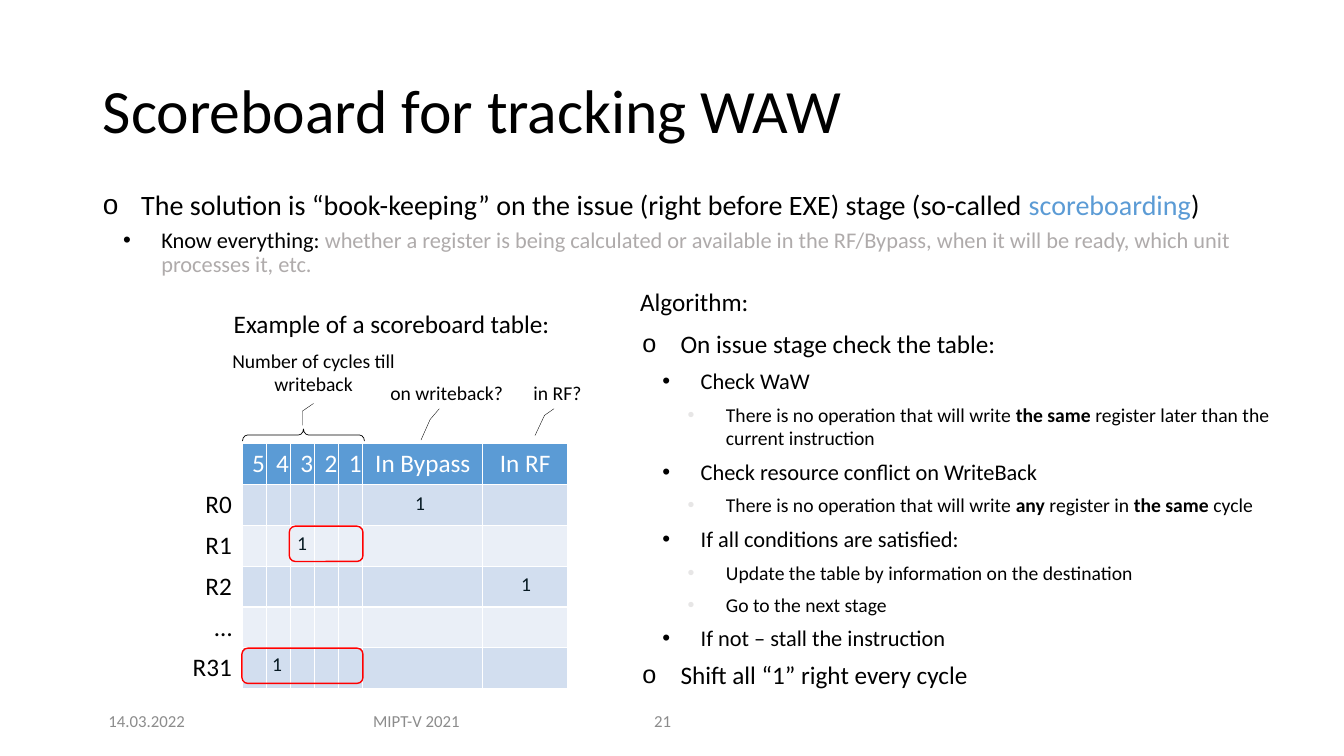
from lxml import etree
from pptx import Presentation
from pptx.dml.color import RGBColor
from pptx.enum.shapes import MSO_SHAPE
from pptx.enum.text import MSO_ANCHOR, MSO_AUTO_SIZE, PP_ALIGN
from pptx.oxml.ns import qn
from pptx.util import Inches, Pt

LEFT, CENTER, RIGHT = PP_ALIGN.LEFT, PP_ALIGN.CENTER, PP_ALIGN.RIGHT
TOP, MIDDLE = MSO_ANCHOR.TOP, MSO_ANCHOR.MIDDLE
NO_FIT = MSO_AUTO_SIZE.NONE
ROUND_RECT, BRACE = MSO_SHAPE.ROUNDED_RECTANGLE, MSO_SHAPE.RIGHT_BRACE
CALLOUT = MSO_SHAPE.LINE_CALLOUT_2_NO_BORDER

FONT = "Calibri"
BLACK, WHITE, RED, BLUE = "000000", "FFFFFF", "FF0000", "5B9BD5"
GREY, PALE_GREY, FOOTER_GREY, MARK_INK = "AFABAB", "E7E6E6", "8C8C8C", "061922"
BANDS = ("D2DEEF", "EAEFF7")

TITLE = "Scoreboard for tracking WAW"

# Each item: level, then runs of (text, format)
SOLUTION = [
    (0, [("The solution is “book-keeping” on the issue (right before EXE) stage (so-called ", {}),
         ("scoreboarding", {"color": BLUE}), (")", {})]),
    (1, [("Know everything: ", {}),
         ("whether a register is being calculated or available in the RF/Bypass, "
          "when it will be ready, which unit processes it, etc.", {"color": GREY})]),
]
BOLD = {"bold": True}
ALGORITHM = [
    (0, [("On issue stage check the table:", {})]),
    (1, [("Check WaW", {})]),
    (2, [("There is no operation that will write ", {}), ("the same ", BOLD),
         ("register later than the current instruction", {})]),
    (1, [("Check resource conflict on WriteBack", {})]),
    (2, [("There is no operation that will write ", {}), ("any", BOLD),
         (" register in ", {}), ("the same ", BOLD), ("cycle", {})]),
    (1, [("If all conditions are satisfied:", {})]),
    (2, [("Update the table by information on the destination", {})]),
    (2, [("Go to the next stage", {})]),
    (1, [("If not – stall the instruction", {})]),
    (0, [("Shift all “1” right every cycle", {})]),
]
# Per level: text indent, bullet, bullet colour
LEVELS = [(0.38, "o", BLACK), (0.58, "•", BLACK), (0.83, "•", PALE_GREY)]
HANGING = 0.38

HEADER = ["", "5", "4", "3", "2", "1", "In Bypass", "In RF"]
REGISTERS = ["R0", "R1", "R2", "…", "R31"]
COLUMN_WIDTHS = [0.76] + [0.24] * 5 + [1.19, 0.84]
ROW_HEIGHT = 0.4
TABLE_BOX = (1.64, 4.4, sum(COLUMN_WIDTHS), ROW_HEIGHT * (len(REGISTERS) + 1))

WAW_FRAMES = [(2.87, 5.22, 0.73, 0.35), (2.4, 6.43, 1.2, 0.35)]
MARKS = [(4.02, 4.87), (2.85, 5.26), (5.07, 5.67), (2.6, 6.46)]
CALLOUTS = [
    ("Number of cycles till writeback", (2.2, 3.35, 1.82, 0.68),
     (0.96, 0.5, 1.07, 0.44, 1.28, 0.44)),
    ("on writeback?", (3.52, 3.69, 1.82, 0.41), (0.89, 0.46, 1.15, 0.41, 1.65, 0.36)),
    ("in RF?", (5.1, 3.69, 0.86, 0.41), (0.89, 0.46, 1.05, 0.35, 1.54, 0.24)),
]
HEADINGS = [
    ("Example of a scoreboard table:", (2.22, 3.01, 3.43, 0.4)),
    ("Algorithm:", (6.25, 2.79, 1.5, 0.4)),
]
FOOTERS = [
    ("14.03.2022", (0.92, 6.95, 1.07, 0.4), CENTER),
    ("MIPT-V 2021", (3.34, 6.95, 1.58, 0.4), CENTER),
    ("21", (6.39, 6.95, 0.79, 0.4), LEFT),
]


def rgb(color):
    return RGBColor.from_string(color)


def inches(box):
    return [Inches(length) for length in box]


def place(shape, box):
    for side, length in zip(("left", "top", "width", "height"), inches(box)):
        setattr(shape, side, length)


def add_run(paragraph, text, size, color=BLACK, bold=False):
    run = paragraph.add_run()
    run.text = text
    for key, value in {"name": FONT, "size": Pt(size), "bold": bold}.items():
        setattr(run.font, key, value)
    run.font.color.rgb = rgb(color)


def write(frame, text, size, color=BLACK, align=LEFT, anchor=TOP, spacing=1.0):
    """Put one line of text into a frame, with its format."""
    for key, value in {"word_wrap": True, "auto_size": NO_FIT, "vertical_anchor": anchor}.items():
        setattr(frame, key, value)
    paragraph = frame.paragraphs[0]
    for key, value in {"alignment": align, "line_spacing": spacing, "space_before": Pt(0)}.items():
        setattr(paragraph, key, value)
    add_run(paragraph, text, size, color)


def add_label(slide, text, box, size, **look):
    write(slide.shapes.add_textbox(*inches(box)).text_frame, text, size, **look)


def add_bullet(paragraph, level):
    indent, bullet, color = LEVELS[level]
    properties = paragraph._p.get_or_add_pPr()
    properties.set("marL", str(Inches(indent)))
    properties.set("indent", str(-Inches(HANGING)))
    bullet_color = etree.SubElement(properties, qn("a:buClr"))
    etree.SubElement(bullet_color, qn("a:srgbClr")).set("val", color)
    etree.SubElement(properties, qn("a:buChar")).set("char", bullet)


def fill_list(placeholder, items, box, sizes, gaps, spacing):
    """Fill a body placeholder; sizes and gaps are given per level."""
    place(placeholder, box)
    frame = placeholder.text_frame
    frame.auto_size = NO_FIT
    for index, (level, runs) in enumerate(items):
        paragraph = frame.add_paragraph() if index else frame.paragraphs[0]
        layout = {"level": level, "line_spacing": spacing, "space_before": Pt(gaps[level])}
        for key, value in layout.items():
            setattr(paragraph, key, value)
        add_bullet(paragraph, level)
        for text, look in runs:
            add_run(paragraph, text, sizes[level], **look)


def add_outline(slide, preset, box, color, width):
    shape = slide.shapes.add_shape(preset, *inches(box))
    shape.shadow.inherit = False
    shape.fill.background()
    shape.line.color.rgb = rgb(color)
    shape.line.width = Pt(width)
    return shape


def add_scoreboard(slide):
    rows = [HEADER] + [[name] + [""] * (len(HEADER) - 1) for name in REGISTERS]
    table = slide.shapes.add_table(len(rows), len(HEADER), *inches(TABLE_BOX)).table
    for column, width in zip(table.columns, COLUMN_WIDTHS):
        column.width = Inches(width)
    for r, row in enumerate(rows):
        table.rows[r].height = Inches(ROW_HEIGHT)
        for c, text in enumerate(row):
            cell = table.cell(r, c)
            if c == 0:
                cell.fill.background()
            else:
                cell.fill.solid()
                cell.fill.fore_color.rgb = rgb(BANDS[(r - 1) % 2] if r else BLUE)
            if text:
                paragraph = cell.text_frame.paragraphs[0]
                paragraph.alignment = RIGHT if c == 0 else CENTER
                add_run(paragraph, text, 18, BLACK if r else WHITE)


def main():
    deck = Presentation()
    deck.slide_width, deck.slide_height = inches((13.33, 7.5))
    slide = deck.slides.add_slide(deck.slide_layouts.get_by_name("Two Content"))
    title, solution, algorithm = slide.placeholders

    place(title, (0.92, 0.4, 11.5, 1.45))
    write(title.text_frame, TITLE, 44, anchor=MIDDLE, spacing=0.9)
    fill_list(solution, SOLUTION, (0.92, 1.85, 11.5, 0.95), (20, 16), (10, 5), 0.9)
    fill_list(algorithm, ALGORITHM, (6.37, 3.26, 6.36, 4.2), (18, 16, 14), (6, 6, 6), 1.0)
    for side in ("left", "top", "right", "bottom"):
        setattr(algorithm.text_frame, f"margin_{side}", 0)

    add_scoreboard(slide)
    for box in WAW_FRAMES:
        add_outline(slide, ROUND_RECT, box, RED, 1)
    for left, top in MARKS:
        add_label(slide, "1", (left, top, 0.3, 0.29), 14, color=MARK_INK, spacing=0.8)

    brace = add_outline(slide, BRACE, (2.95, 3.71, 0.12, 1.21), BLACK, 0.5)
    brace.rotation = 270
    brace.adjustments[0] = 0.42
    for text, box, bends in CALLOUTS:
        callout = add_outline(slide, CALLOUT, box, BLACK, 0.25)
        for index, bend in enumerate(bends):
            callout.adjustments[index] = bend
        write(callout.text_frame, text, 14, align=CENTER, anchor=MIDDLE)

    for text, box in HEADINGS:
        add_label(slide, text, box, 18)
    for text, box, align in FOOTERS:
        add_label(slide, text, box, 12, color=FOOTER_GREY, align=align, anchor=MIDDLE)
    deck.save("out.pptx")


if __name__ == "__main__":
    main()
